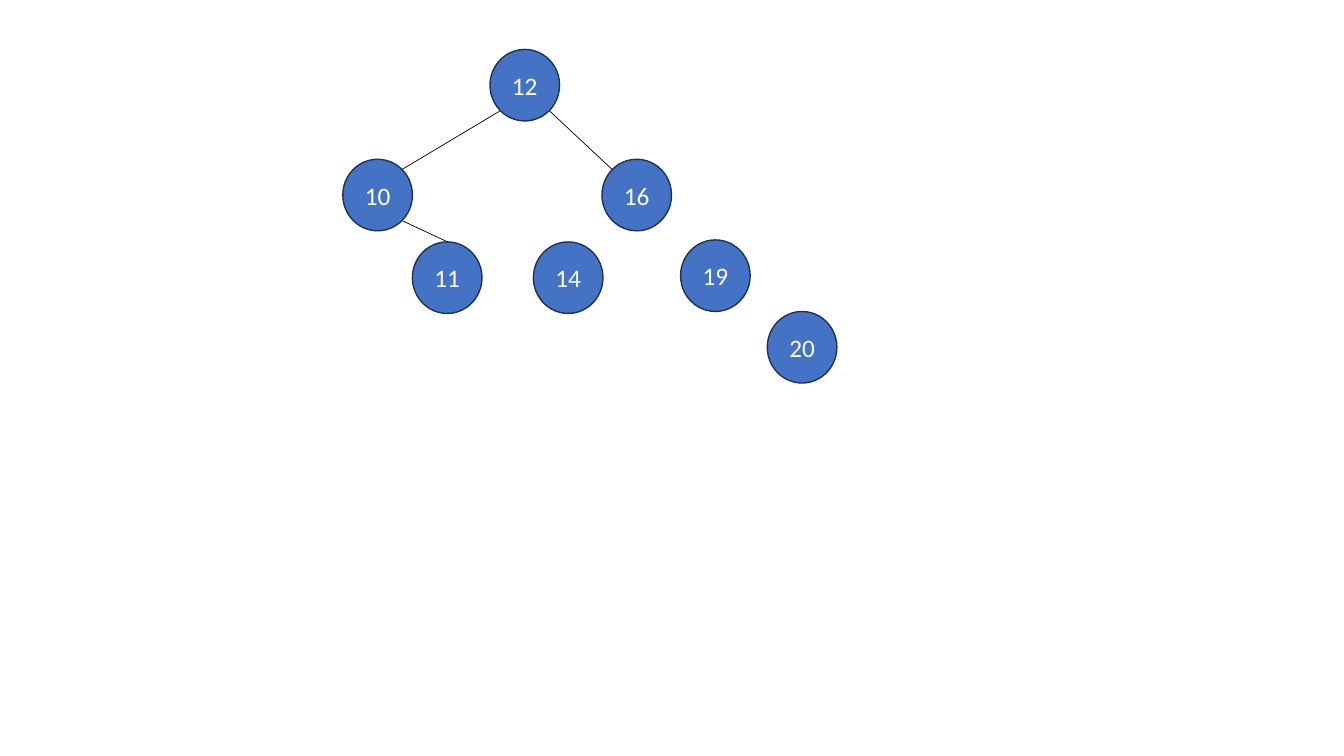
"""Build a slide with a binary search tree drawn as circles and edges."""
import math

from pptx import Presentation
from pptx import util as u
from pptx.dml.color import RGBColor
from pptx.enum import shapes, text
from pptx.oxml.ns import qn
from lxml import etree

PX = u.Inches(1) // 100
NODE_W, NODE_H = 69, 71
NODES = {
    "12": (486, 49),
    "16": (597, 158),
    "10": (340, 158),
    "19": (675, 238),
    "14": (529, 240),
    "20": (761, 309),
    "11": (409, 240),
}
EDGES = [
    ("12", 135, "10", 315),
    ("12", 45, "16", 225),
    ("10", 45, "11", 270),
]


def write(box, words, size, color, font="Calibri", align=text.PP_ALIGN.CENTER):
    frame = box.text_frame
    frame.vertical_anchor = text.MSO_ANCHOR.MIDDLE
    para = frame.paragraphs[0]
    para.alignment = align
    span = para.add_run()
    span.text = words
    span.font.name = font
    span.font.size = u.Pt(size)
    span.font.color.rgb = RGBColor.from_string(color)


def rim_point(label, degrees):
    left, top = NODES[label]
    angle = math.radians(degrees)
    x = left + NODE_W / 2 * (1 + math.cos(angle))
    y = top + NODE_H / 2 * (1 + math.sin(angle))
    return round(x) * PX, round(y) * PX


deck = Presentation()
deck.slide_width = 1333 * PX
deck.slide_height = 750 * PX
page = deck.slides.add_slide(deck.slide_layouts[6])

for label, (left, top) in NODES.items():
    node = page.shapes.add_shape(
        shapes.MSO_SHAPE.OVAL, left * PX, top * PX, NODE_W * PX, NODE_H * PX
    )
    node.shadow.inherit = False
    node.fill.solid()
    node.fill.fore_color.rgb = RGBColor.from_string("4472C4")
    node.line.color.rgb = RGBColor.from_string("1E3256")
    node.line.width = u.Pt(1)
    write(node, label, size=18, color="FFFFFF")

for parent, parent_angle, child, child_angle in EDGES:
    edge = page.shapes.add_connector(
        shapes.MSO_CONNECTOR.STRAIGHT,
        *rim_point(parent, parent_angle),
        *rim_point(child, child_angle),
    )
    edge.line.color.rgb = RGBColor.from_string("000000")
    edge.line.width = u.Pt(0.5)
    etree.SubElement(edge._element.spPr, qn("a:effectLst"))

deck.save("out.pptx")
